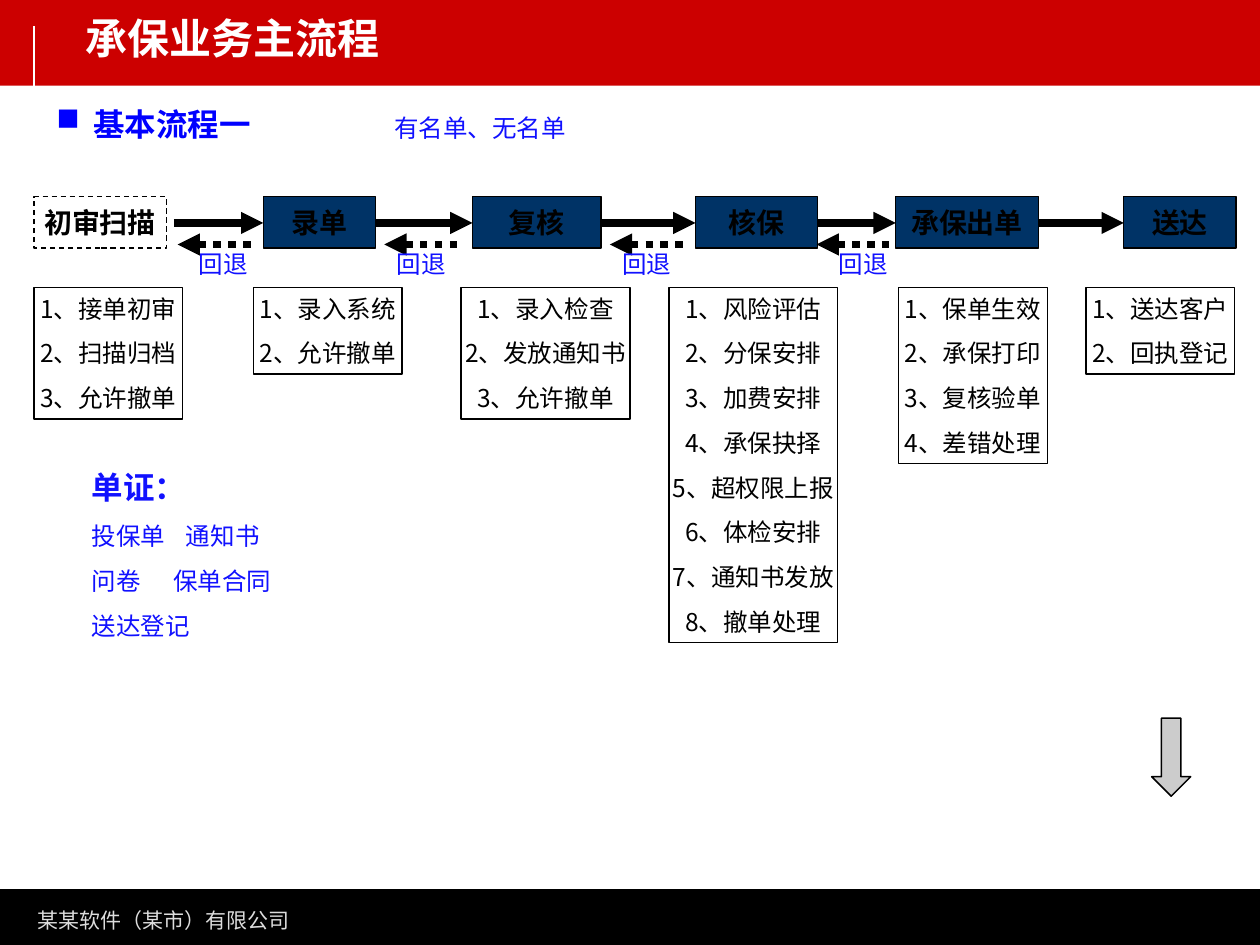
from lxml import etree
from pptx import Presentation
from pptx.dml.color import RGBColor
from pptx.enum import dml, shapes, text
from pptx.oxml import ns
from pptx.util import Pt

STAGES = [
    ("初审扫描", (19.4, 75.6), (19.4, 85), ["接单初审", "扫描归档", "允许撤单"]),
    ("录单", (150.5, 64.1), (144.7, 85), ["录入系统", "允许撤单"]),
    ("复核", (270, 73.4), (263.5, 96.5), ["录入检查", "发放通知书", "允许撤单"]),
    ("核保", (397.4, 69.8), (382.3, 96.5),
     ["风险评估", "分保安排", "加费安排", "承保抉择",
      "超权限上报", "体检安排", "通知书发放", "撤单处理"]),
    ("承保出单", (511.9, 81.4), (513.4, 85),
     ["保单生效", "承保打印", "复核验单", "差错处理"]),
    ("送达", (642.2, 64.1), (620.6, 85), ["送达客户", "回执登记"]),
]
RETURNS = [(101.5, 106.6), (219.6, 219.6), (348.5, 348.5), (466.6, 472.3)]
PAPERS = [("单证：", None), ("投保单\t通知书", 53.8),
          ("问卷\t保单合同", 46.5), ("送达登记", None)]


class Theme:
    red, black, white = "CC0000", "000000", "FFFFFF"
    navy, blue, link = "003366", "0000FF", "1111FF"
    pale, grey = "DDDDDD", "CCCCCC"
    title, head, stage, body, foot = 24, 18, 16, 14, 12
    sans, cjk = "DejaVu Sans", "Noto Sans CJK SC"
    gap, thin, thick = 8.8, 0.75, 4.25


def sub(node, tag, **attrs):
    return etree.SubElement(node, ns.qn("a:" + tag), attrs)


def shade(part, color):
    part.solid()
    part.fore_color.rgb = RGBColor.from_string(color)


def rect(box, fill=None, line=None, kind=shapes.MSO_SHAPE.RECTANGLE, width=Theme.thin):
    form = slide.shapes.add_shape(kind, *map(Pt, box))
    form.shadow.inherit = False
    if fill:
        shade(form.fill, fill)
    else:
        form.fill.background()
    if line:
        shade(form.line.fill, line)
        form.line.width = Pt(width)
    else:
        form.line.fill.background()
    return form


def write(words, box=None, form=None, size=Theme.body, color=Theme.link,
          font=Theme.cjk, bold=False, center=False, middle=True, side=7.2, wrap=False):
    form = form or slide.shapes.add_textbox(*map(Pt, box))
    frame = form.text_frame
    frame.word_wrap = wrap
    frame.vertical_anchor = text.MSO_ANCHOR.MIDDLE if middle else text.MSO_ANCHOR.TOP
    frame.margin_left = frame.margin_right = Pt(side)
    frame.margin_top = frame.margin_bottom = Pt(3.6)
    for i, line in enumerate(words.split("\n")):
        para = frame.add_paragraph() if i else frame.paragraphs[0]
        para.alignment = text.PP_ALIGN.CENTER if center else text.PP_ALIGN.LEFT
        if i:
            para.space_before = Pt(Theme.gap)
        run = para.add_run()
        run.text = line
        run.font.size, run.font.bold, run.font.name = Pt(size), bold, font
        shade(run.font.fill, color)
        sub(run._r.get_or_add_rPr(), "ea", typeface=font)
    return frame


def rule(start, end, color=Theme.black, width=Theme.thick, tip=None, dash=None):
    line = slide.shapes.add_connector(
        shapes.MSO_CONNECTOR.STRAIGHT, *map(Pt, (*start, *end)))
    shade(line.line.fill, color)
    line.line.width = Pt(width)
    if dash:
        line.line.dash_style = dash
    if tip:
        sub(line.line._get_or_add_ln(), tip, type="triangle")
    sub(line._element.spPr, "effectLst")


deck = Presentation()
deck.slide_width, deck.slide_height = Pt(720), Pt(540)
slide = deck.slides.add_slide(deck.slide_layouts[6])

rect((0, 508.3, 720, 31.7), Theme.black, Theme.black)
rect((0, 0, 720, 49), Theme.red)
rule((19.4, 15.1), (19.4, 49), Theme.white, 1.5)
write("某某软件（某市）有限公司", (14.4, 514.8, 158.4, 21.6),
      size=Theme.foot, color=Theme.pale, font=Theme.sans, middle=False)
write("承保业务主流程", (41.8, 3.6, 648, 36), size=Theme.title,
      color=Theme.white, font=Theme.sans, bold=True, middle=False, wrap=True)

topic = write("基本流程一", (25.2, 56.2, 182.2, 28.8), size=Theme.head,
              color=Theme.blue, bold=True, middle=False, wrap=True)
prop = topic.paragraphs[0]._p.get_or_add_pPr()
prop.set("marL", str(Pt(21)))
prop.set("indent", str(Pt(-21)))
sub(sub(prop, "buClr"), "srgbClr", val=Theme.blue)
sub(prop, "buFont", typeface="OpenSymbol")
sub(prop, "buChar", char="■")
write("有名单、无名单", (218.2, 56.2, 232.6, 33.8))

for i, (name, (left, width), (x, w), tasks) in enumerate(STAGES):
    box = rect((left, 112.3, width, 29.5), Theme.navy if i else None, Theme.black)
    if not i:
        box.line.dash_style = dml.MSO_LINE.DASH
    write(name, form=box, size=Theme.stage, color=Theme.black, bold=True, center=True)
    count = len(tasks)
    high = 7.2 + 1.2 * Theme.body * count + Theme.gap * (count - 1)
    lines = "\n".join(f"{n}、{task}" for n, task in enumerate(tasks, 1))
    write(lines, form=rect((x, 164.2, w, high), line=Theme.black),
          color=Theme.black, center=True, middle=False, side=0)

for i, (now, then) in enumerate(zip(STAGES, STAGES[1:])):
    start = sum(now[1]) + (0 if i else 4.3)
    rule((start, 127.4), (then[1][0], 127.4), tip="tailEnd")

for x, label in RETURNS:
    rule((x, 139.7), (x + 43.6, 139.7), tip="headEnd", dash=dml.MSO_LINE.ROUND_DOT)
    write("回退", (label, 133.9, 46.8, 33.8))

papers = write("\n".join(line for line, stop in PAPERS), (45.4, 252, 232.6, 129.6))
first = papers.paragraphs[0].runs[0].font
first.size, first.bold = Pt(Theme.head), True
for para, (line, stop) in zip(papers.paragraphs, PAPERS):
    if stop:
        tabs = sub(para._p.get_or_add_pPr(), "tabLst")
        sub(tabs, "tab", pos=str(Pt(stop)), algn="l")

rect((658.1, 410.4, 22.3, 44.6), Theme.grey, Theme.black,
     shapes.MSO_SHAPE.DOWN_ARROW, 0.88)

deck.save("out.pptx")
